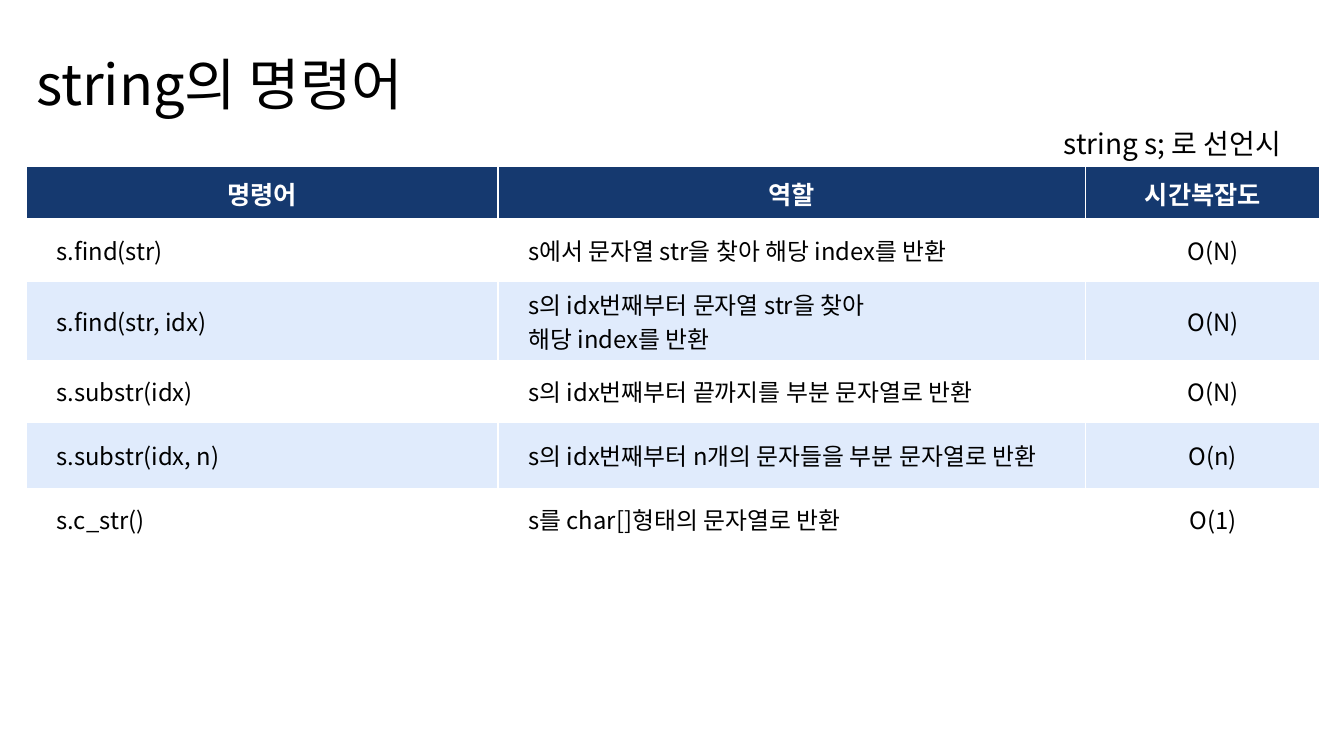
from lxml import etree
from pptx import Presentation
from pptx import util as u
from pptx.dml.color import RGBColor
from pptx.enum import text
from pptx.oxml.ns import qn

WHITE = RGBColor(0xFF, 0xFF, 0xFF)
BLACK = RGBColor(0, 0, 0)
NAVY = RGBColor(0x15, 0x39, 0x6F)
PALE = RGBColor(0xE0, 0xEB, 0xFC)
FONT = "Noto Sans CJK KR"
CENTER = text.PP_ALIGN.CENTER

W, H = 13.33, 7.5
MARGIN = 0.26
BODY_W = 12.82
COLS = [4.68, 5.83, 2.32]
ROWS = [0.53, 0.61, 0.61, 0.61, 0.66, 0.61]
INDENT = 0.2

HEADER = ["명령어", "역할", "시간복잡도"]
COMMANDS = [
    ["s.find(str)", "s에서 문자열 str을 찾아 해당 index를 반환", "O(N)"],
    ["s.find(str, idx)", "s의 idx번째부터 문자열 str을 찾아\n해당 index를 반환", "O(N)"],
    ["s.substr(idx)", "s의 idx번째부터 끝까지를 부분 문자열로 반환", "O(N)"],
    ["s.substr(idx, n)", "s의 idx번째부터 n개의 문자들을 부분 문자열로 반환", "O(n)"],
    ["s.c_str()", "s를 char[]형태의 문자열로 반환", "O(1)"],
]

HEAD_STYLE = {"size": u.Pt(18), "bold": True}
BODY_STYLE = {"size": u.Pt(17), "bold": False}


def write(tf, content, style, color, align=None, indent=0):
    tf.text = content
    for p in tf.paragraphs:
        p.alignment = align
        if indent:
            pPr = p._p.get_or_add_pPr()
            pPr.set("marL", str(u.Inches(indent)))
            pPr.set("indent", "0")
        for r in p.runs:
            for name, value in {"name": FONT, **style}.items():
                setattr(r.font, name, value)
            r.font.color.rgb = color
            etree.SubElement(r.font._element, qn("a:ea"), typeface=FONT)


def add_label(slide, box, content, size):
    tf = slide.shapes.add_textbox(*map(u.Inches, box)).text_frame
    tf.word_wrap = True
    tf.auto_size = text.MSO_AUTO_SIZE.SHAPE_TO_FIT_TEXT
    write(tf, content, {"size": u.Pt(size)}, BLACK)


def set_borders(cell, widths):
    tcPr = cell._tc.get_or_add_tcPr()
    for side, width in widths.items():
        ln = etree.SubElement(tcPr, qn(f"a:ln{side}"), w=str(u.Pt(width)))
        fill = etree.SubElement(ln, qn("a:solidFill"))
        etree.SubElement(fill, qn("a:srgbClr"), val=str(WHITE))


def add_command_table(slide, left, top):
    rows = [HEADER] + COMMANDS
    box = (left, top, sum(COLS), sum(ROWS))
    table = slide.shapes.add_table(len(rows), len(COLS), *map(u.Inches, box)).table
    for col, width in zip(table.columns, COLS):
        col.width = u.Inches(width)
    for row, height in zip(table.rows, ROWS):
        row.height = u.Inches(height)
    for i, values in enumerate(rows):
        head = i == 0
        for j, value in enumerate(values):
            cell = table.cell(i, j)
            cell.vertical_anchor = text.MSO_ANCHOR.MIDDLE
            set_borders(cell, {"L": 1, "R": 1, "T": 3 if i == 1 else 1, "B": 3 if head else 1})
            cell.fill.solid()
            cell.fill.fore_color.rgb = NAVY if head else WHITE if i % 2 else PALE
            write(
                cell.text_frame,
                value,
                HEAD_STYLE if head else BODY_STYLE,
                WHITE if head else BLACK,
                CENTER if head or j == 2 else None,
                0 if head else INDENT,
            )


def build_command_slide(prs):
    slide = prs.slides.add_slide(prs.slide_layouts[6])
    add_command_table(slide, MARGIN, 0.22 * H)
    add_label(slide, (MARGIN, 0.44, BODY_W, 0.77), "string의 명령어", 40)
    note_w = 2.63
    add_label(slide, (MARGIN + BODY_W - note_w, 1.21, note_w, 0.42), "string s; 로 선언시", 20)


def main():
    prs = Presentation()
    prs.slide_width, prs.slide_height = u.Inches(W), u.Inches(H)
    build_command_slide(prs)
    prs.save("out.pptx")


if __name__ == "__main__":
    main()
